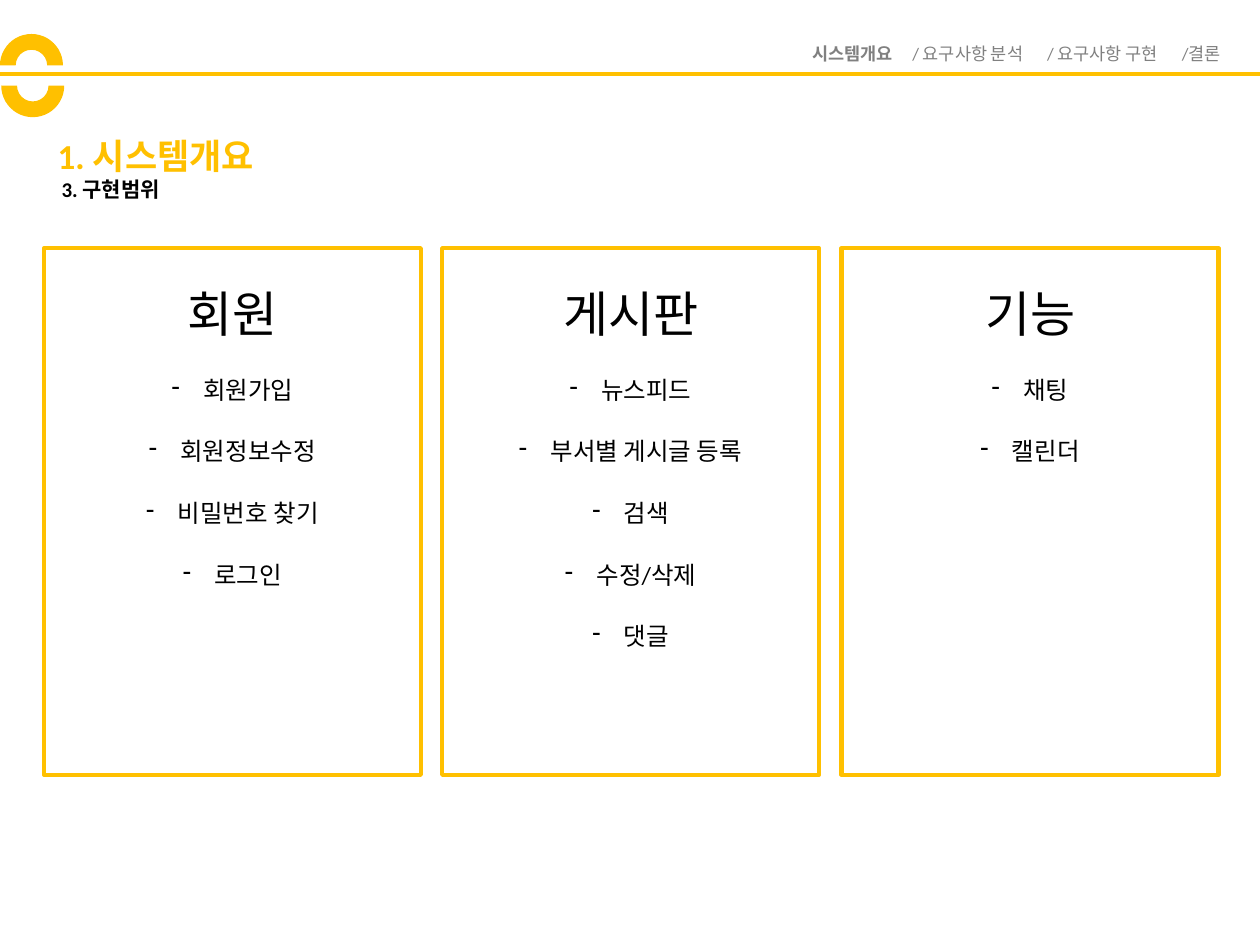
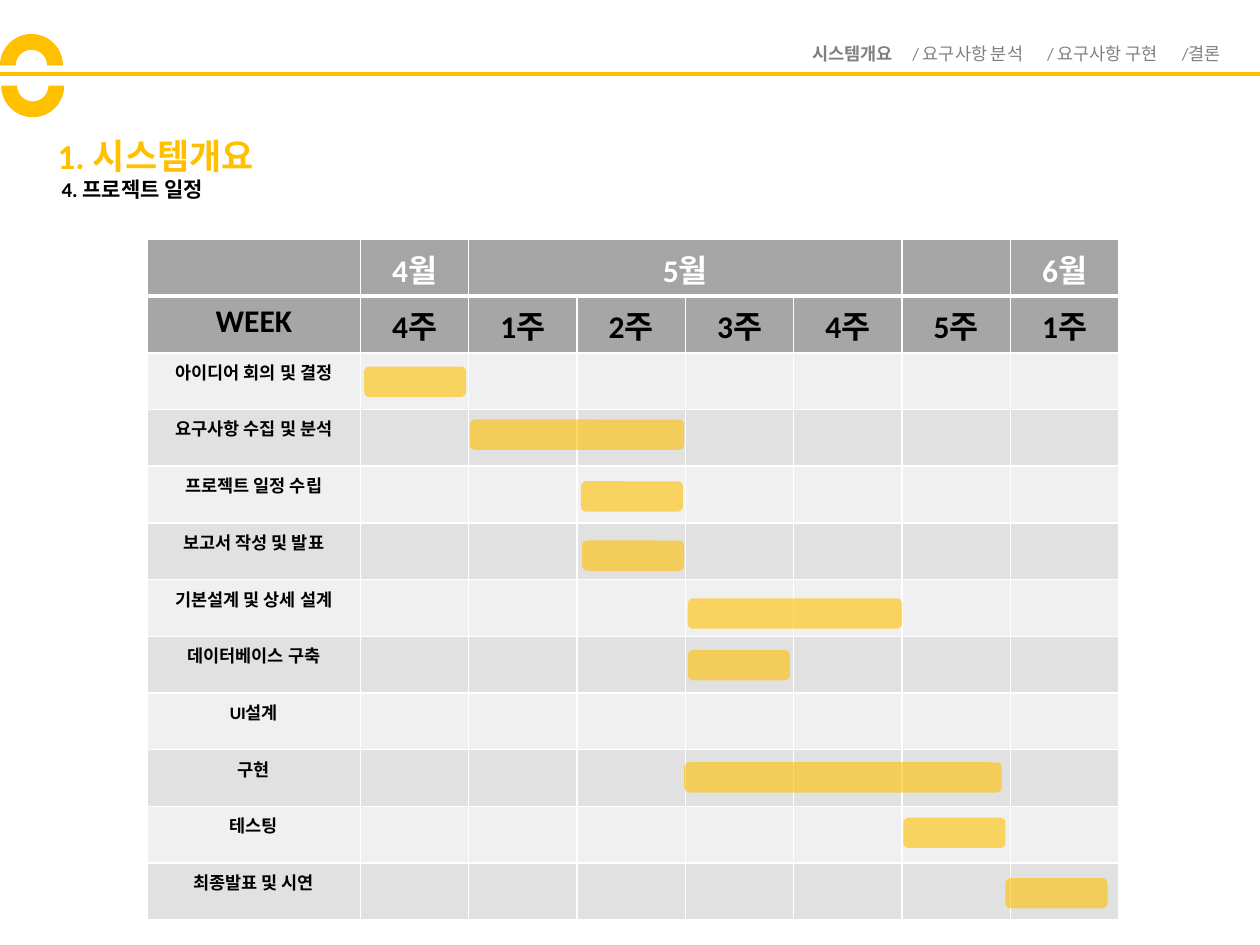
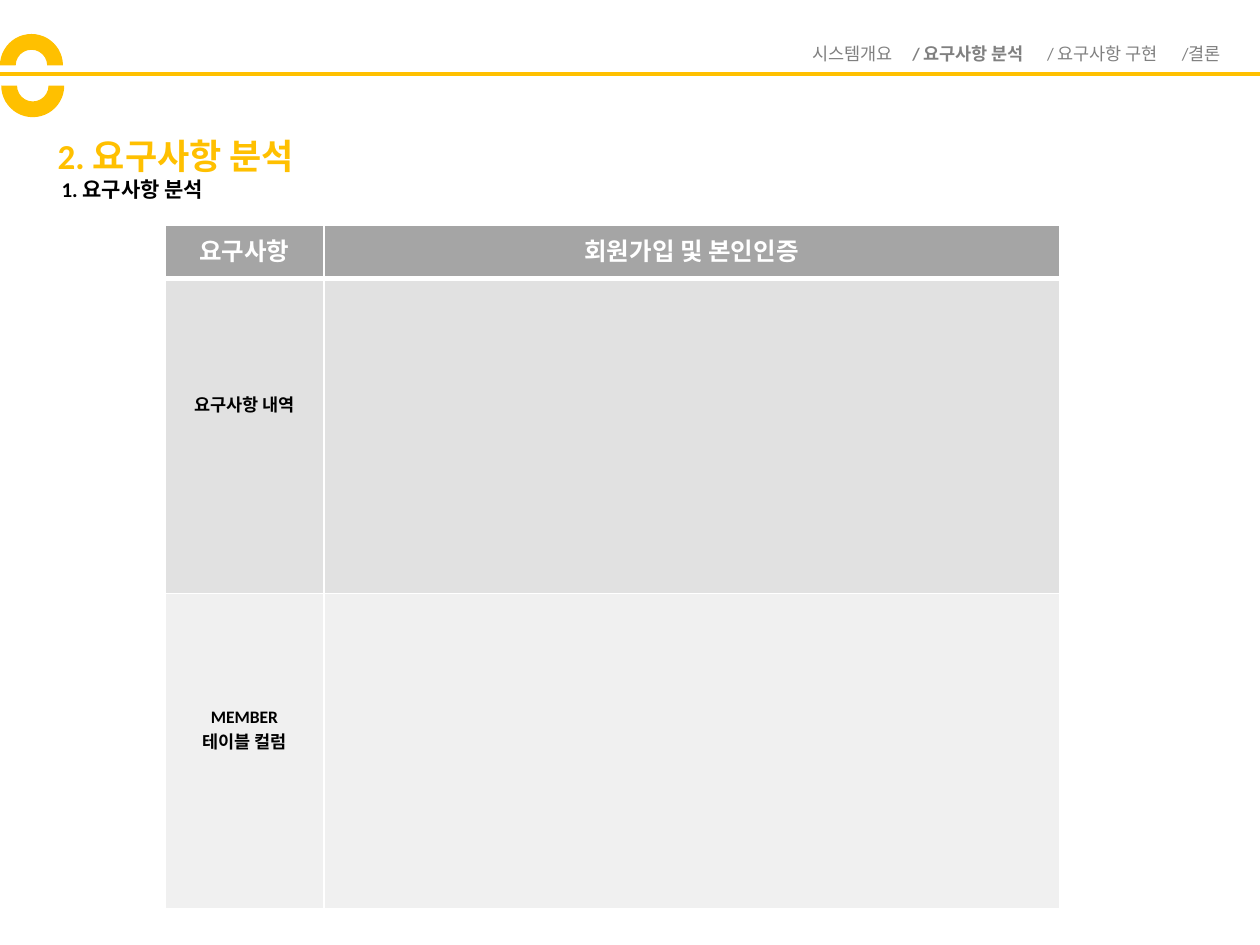
from lxml import etree
from pptx import Presentation
from pptx import util as u
from pptx.dml.color import RGBColor
from pptx.enum import shapes, text
from pptx.oxml.ns import qn

FONT = "Calibri"
GOLD, GRAY, BLACK, WHITE = "FFC000", "808080", "000000", "FFFFFF"
HEAD, WEEK_ROW, BANDS = "A5A5A5", "A6A6A6", ("F0F0F0", "E1E1E1")
SECTIONS = ["시스템개요", "/ 요구사항 분석", "/ 요구사항 구현", "/결론"]
CENTER = text.PP_ALIGN.CENTER

SCOPE = {
    "회원": ["회원가입", "회원정보수정", "비밀번호 찾기", "로그인"],
    "게시판": ["뉴스피드", "부서별 게시글 등록", "검색", "수정/삭제", "댓글"],
    "기능": ["채팅", "캘린더"],
}
MONTHS = ["", "4월", "5월", "", "", "", "", "6월"]
WEEKS = ["WEEK", "4주", "1주", "2주", "3주", "4주", "5주", "1주"]
BAR_WIDTHS = {1: 0.81, 2: 1.7, 3: 2.52}
# Task, then left, top and number of weeks of its bar
SCHEDULE = [
    ("아이디어 회의 및 결정", (2.89, 2.91, 1)),
    ("요구사항 수집 및 분석", (3.73, 3.33, 2)),
    ("프로젝트 일정 수립", (4.61, 3.82, 1)),
    ("보고서 작성 및 발표", (4.62, 4.29, 1)),
    ("기본설계 및 상세 설계", (5.46, 4.75, 2)),
    ("데이터베이스 구축", (5.46, 5.16, 1)),
    ("UI설계", None),
    ("구현", (5.43, 6.05, 3)),
    ("테스팅", (7.17, 6.49, 1)),
    ("최종발표 및 시연", (7.98, 6.97, 1)),
]


def color(value):
    return RGBColor.from_string(value)


def write(para, content, size=10, ink=BLACK, bold=False, align=None, spacing=None, before=None):
    """Add a formatted span to a paragraph."""
    span = para.add_run()
    span.text = content
    span.font.name, span.font.size, span.font.bold = FONT, u.Pt(size), bold
    span.font.color.rgb = color(ink)
    if align is not None:
        para.alignment = align
    if spacing is not None:
        para.line_spacing = spacing
    if before is not None:
        para.space_before = u.Pt(before)


def add_bullet(para, mark="-", indent=0.25):
    props = para._p.get_or_add_pPr()
    props.set("marL", str(u.Inches(indent)))
    props.set("indent", str(-u.Inches(indent)))
    etree.SubElement(props, qn("a:buChar")).set("char", mark)


def add_tabs(para, stops):
    tabs = etree.SubElement(para._p.get_or_add_pPr(), qn("a:tabLst"))
    for stop in stops:
        etree.SubElement(tabs, qn("a:tab"), pos=str(u.Inches(stop)), algn="l")


def set_borders(cell, top=1, bottom=1):
    props = cell._tc.get_or_add_tcPr()
    sides = {"lnL": 1, "lnR": 1, "lnT": top, "lnB": bottom}
    for index, (side, width) in enumerate(sides.items()):
        line = etree.Element(qn(f"a:{side}"), w=str(u.Pt(width)))
        fill = etree.SubElement(line, qn("a:solidFill"))
        etree.SubElement(fill, qn("a:srgbClr"), val=WHITE)
        props.insert(index, line)


class Deck:
    def __init__(self):
        self.deck = Presentation()
        self.deck.slide_width, self.deck.slide_height = u.Inches(10), u.Inches(7.5)
        self.page = None

    def add_page(self, section, title, subtitle):
        """Start a slide with the shared header."""
        self.page = self.deck.slides.add_slide(self.deck.slide_layouts[6])
        self.rule(0.59)
        self.navigation(section)
        write(self.text_box(0.36, 1.11, 3.85, 0.29, anchor=text.MSO_ANCHOR.MIDDLE),
              title, size=20, ink=GOLD, bold=True, spacing=0.9)
        write(self.text_box(0.39, 1.35, 2.85, 0.3), subtitle, size=12, bold=True)
        arc = shapes.MSO_SHAPE.BLOCK_ARC
        self.shape(arc, 0, 0.27, 0.5, 0.5)
        self.shape(arc, 0.01, 0.43, 0.5, 0.5).rotation = 180

    def rule(self, top):
        line = self.page.shapes.add_connector(
            shapes.MSO_CONNECTOR.STRAIGHT, 0, u.Inches(top), u.Inches(10), u.Inches(top))
        line.line.color.rgb, line.line.width = color(GOLD), u.Pt(2.25)
        etree.SubElement(line._element.spPr, qn("a:effectLst"))

    def navigation(self, current):
        para = self.text_box(6.13, 0.29, 3.69, 0.27, insets=(0.32, 0))
        add_tabs(para, [0.79 + 1.07 * index for index in range(3)])
        for index, section in enumerate(SECTIONS):
            lead = "\t" if index else ""
            write(para, lead + section, ink=GRAY, bold=index == current)

    def text_box(self, left, top, width, height, anchor=text.MSO_ANCHOR.TOP, insets=(0.1, 0.1)):
        box = self.page.shapes.add_textbox(*map(u.Inches, (left, top, width, height)))
        frame = box.text_frame
        frame.word_wrap, frame.vertical_anchor = True, anchor
        frame.margin_left, frame.margin_right = map(u.Inches, insets)
        return frame.paragraphs[0]

    def shape(self, kind, left, top, width, height, fill=GOLD, border=None, opacity=None):
        item = self.page.shapes.add_shape(kind, *map(u.Inches, (left, top, width, height)))
        item.shadow.inherit = False
        item.fill.solid()
        item.fill.fore_color.rgb = color(fill)
        if opacity:
            tint = item._element.spPr.find(qn("a:solidFill"))[0]
            etree.SubElement(tint, qn("a:alpha"), val=str(opacity * 1000))
        if border:
            item.line.color.rgb, item.line.width = color(GOLD), u.Pt(border)
        else:
            item.line.fill.background()
        return item

    def card(self, left, heading, items):
        box = self.shape(shapes.MSO_SHAPE.RECTANGLE, left, 1.97, 2.99, 4.18, WHITE, border=2.5)
        frame = box.text_frame
        frame.word_wrap, frame.vertical_anchor = True, text.MSO_ANCHOR.TOP
        layout = dict(align=CENTER, spacing=1.5, before=10)
        write(frame.paragraphs[0], heading, size=28, **layout)
        for item in items:
            para = frame.add_paragraph()
            write(para, item, size=14, **layout)
            add_bullet(para)

    def table(self, left, top, widths, heights, fills):
        """Add a grid with one fill per row and a thick line under the header."""
        frame = self.page.shapes.add_table(
            len(heights), len(widths), *map(u.Inches, (left, top, sum(widths), sum(heights))))
        grid = frame.table
        for column, width in zip(grid.columns, widths):
            column.width = u.Inches(width)
        for index, (row, height) in enumerate(zip(grid.rows, heights)):
            row.height = u.Inches(height)
            for cell in row.cells:
                cell.fill.solid()
                cell.fill.fore_color.rgb = color(fills[index])
                set_borders(cell, top=3 if index == 1 else 1, bottom=3 if index == 0 else 1)
        return grid

    def cell(self, cell, lines, size=10, ink=BLACK, margin_top=0.05):
        cell.margin_top = u.Inches(margin_top)
        for index, line in enumerate(lines):
            frame = cell.text_frame
            para = frame.add_paragraph() if index else frame.paragraphs[0]
            write(para, line, size=size, ink=ink, bold=True, align=CENTER)


def scope_page(deck):
    deck.add_page(0, "1. 시스템개요", "3. 구현범위")
    for left, (heading, items) in zip((0.35, 3.51, 6.68), SCOPE.items()):
        deck.card(left, heading, items)


def schedule_page(deck):
    deck.add_page(0, "1. 시스템개요", "4. 프로젝트 일정")
    fills = [HEAD, WEEK_ROW] + [BANDS[index % 2] for index in range(len(SCHEDULE))]
    grid = deck.table(1.17, 1.9, [1.69] + [0.86] * 7, [0.45] * len(fills), fills)
    grid.cell(0, 2).merge(grid.cell(0, 5))
    for column, (month, week) in enumerate(zip(MONTHS, WEEKS)):
        if month:
            deck.cell(grid.cell(0, column), [month], size=18, ink=WHITE)
        deck.cell(grid.cell(1, column), [week], size=18)
    for row, (task, bar) in enumerate(SCHEDULE, start=2):
        deck.cell(grid.cell(row, 0), [task])
        if bar:
            left, top, weeks = bar
            deck.shape(shapes.MSO_SHAPE.ROUNDED_RECTANGLE, left, top,
                       BAR_WIDTHS[weeks], 0.24, opacity=60)


def requirements_page(deck):
    deck.add_page(1, "2. 요구사항 분석", "1. 요구사항 분석")
    grid = deck.table(1.31, 1.79, [1.26, 5.84], [0.42, 2.5, 2.5], [HEAD, BANDS[1], BANDS[0]])
    for column, heading in enumerate(["요구사항", "회원가입 및 본인인증"]):
        deck.cell(grid.cell(0, column), [heading], size=14, ink=WHITE)
    for row, lines in enumerate([["요구사항 내역"], ["MEMBER", "테이블 컬럼"]], start=1):
        deck.cell(grid.cell(row, 0), lines, margin_top=0.9)


def main():
    deck = Deck()
    scope_page(deck)
    schedule_page(deck)
    requirements_page(deck)
    deck.deck.save("out.pptx")


if __name__ == "__main__":
    main()
